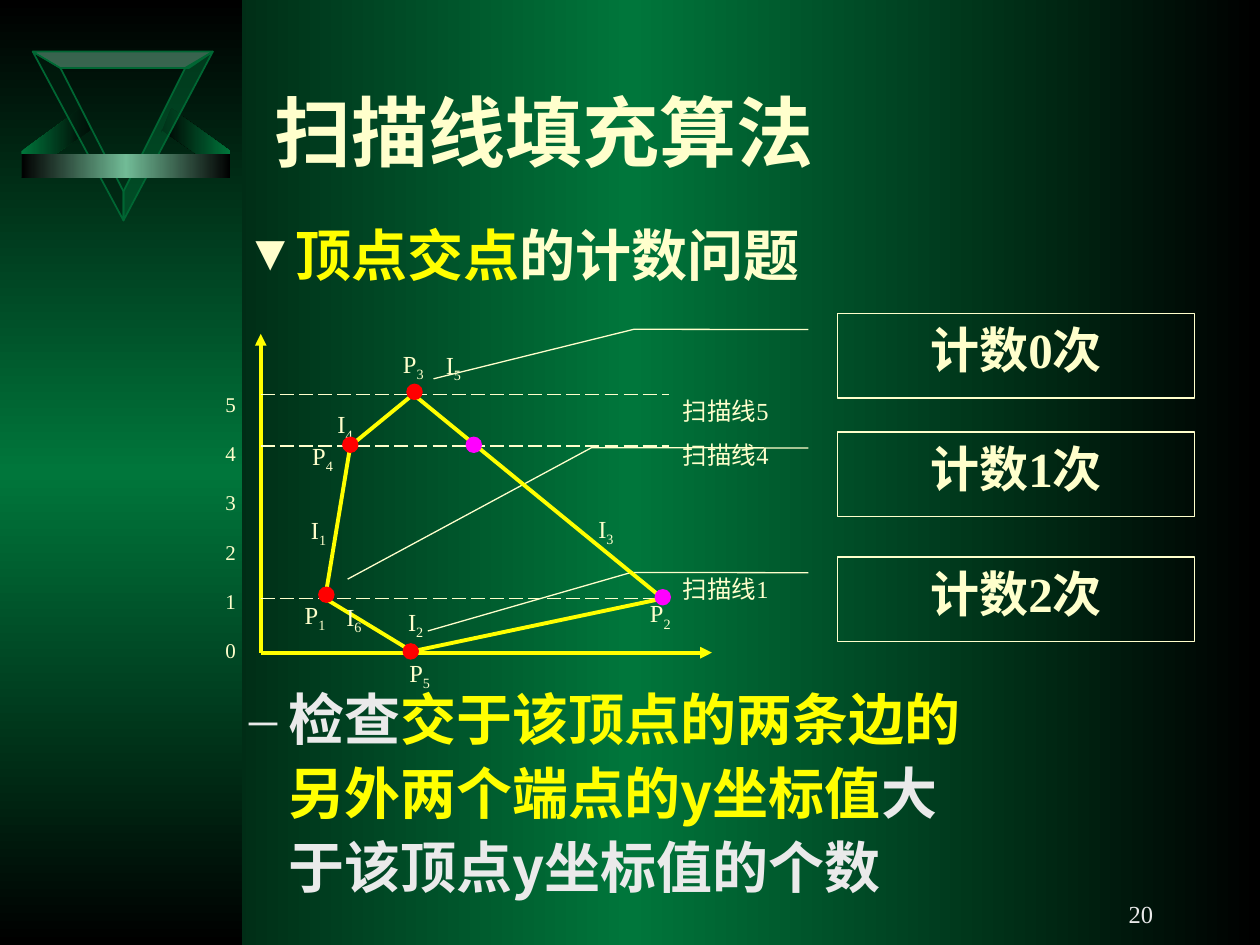
from copy import deepcopy

from lxml import etree
from pptx import Presentation
from pptx.dml.color import RGBColor
from pptx.enum.dml import MSO_LINE
from pptx.enum.shapes import MSO_CONNECTOR, MSO_SHAPE
from pptx.enum.text import MSO_ANCHOR, PP_ALIGN
from pptx.oxml.ns import qn
from pptx.util import Inches, Pt

rgb = RGBColor.from_string
SERIF, SANS = "Times New Roman", "Noto Sans CJK SC"
BLACK, GREEN, MINT, EDGE = "000000", "00763B", "71BB96", "006633"
CREAM, YELLOW, PALE = "FFFFCC", "FFFF00", "EAEAEA"
RED, MAGENTA = "FF0000", "FF00FF"


def fill_gradient(owner, fill, colours, angle=0):
    """Spread the colours evenly over a linear gradient."""
    fill.gradient()
    fill.gradient_angle = angle
    stops = next(owner.element.iter(qn("a:gsLst")))
    while len(stops) < len(colours):
        stops.append(deepcopy(stops[-1]))
    for i, (stop, colour) in enumerate(zip(fill.gradient_stops, colours)):
        stop.color.rgb = rgb(colour)
        stop.position = i / (len(colours) - 1)


def write(frame, paragraphs, size, align=PP_ALIGN.LEFT, bold=False, font=SERIF, spacing=None):
    """Fill the frame; each paragraph is a list of (text, colour) runs."""
    frame.word_wrap = True
    for i, runs in enumerate(paragraphs):
        paragraph = frame.add_paragraph() if i else frame.paragraphs[0]
        paragraph.alignment = align
        paragraph.line_spacing = spacing
        for text, colour in runs:
            run = paragraph.add_run()
            run.text = text
            run.font.size, run.font.bold, run.font.name = Pt(size), bold, font
            run.font.color.rgb = rgb(colour)
            etree.SubElement(run.font._element, qn("a:ea"), typeface=SANS)


prs = Presentation()
prs.slide_width, prs.slide_height = Inches(10), Inches(7.5)
slide = prs.slides.add_slide(prs.slide_layouts[5])
shapes = slide.shapes
fill_gradient(slide, slide.background.fill, [BLACK, GREEN, BLACK])

# Side band and triangle ornament
band = shapes.add_shape(MSO_SHAPE.RECTANGLE, 0, 0, Inches(1.92), Inches(7.5))
fill_gradient(band, band.fill, [BLACK, GREEN, BLACK], 90)

wing = [(1.83, 1.2), (1.83, 1.41), (1.28, 1.03), (1.28, 1.05), (1.36, 0.86)]
mirrored_wing = [(2 - x, y) for x, y in wing]
facets = [
    (wing, [BLACK, GREEN]),
    (mirrored_wing, [GREEN, BLACK]),
    ([(0.98, 1.75), (0.98, 1.52), (0.48, 0.54), (0.26, 0.41)], ["002010"]),
    ([(0.26, 0.41), (0.48, 0.54), (1.5, 0.54), (1.69, 0.41)], [MINT]),
    ([(0.98, 1.75), (0.98, 1.52), (1.47, 0.54), (1.69, 0.41)], [EDGE]),
]
ornament = [band]
for points, colours in facets:
    corners = [(Inches(x), Inches(y)) for x, y in points]
    builder = shapes.build_freeform(*corners[0], scale=1.0)
    builder.add_line_segments(corners[1:], close=True)
    facet = builder.convert_to_shape()
    if len(colours) > 1:
        fill_gradient(facet, facet.fill, colours)
        ornament.append(facet)
    else:
        facet.shadow.inherit = False
        facet.fill.solid()
        facet.fill.fore_color.rgb = rgb(colours[0])
        solid = facet.element.spPr.find(qn("a:solidFill"))
        etree.SubElement(solid[0], qn("a:alpha"), val="50000")
        facet.line.color.rgb = rgb(EDGE)
        facet.line.width = Pt(1)

bar = shapes.add_shape(MSO_SHAPE.RECTANGLE, Inches(0.17), Inches(1.22), Inches(1.66), Inches(0.19))
fill_gradient(bar, bar.fill, [BLACK, MINT, BLACK])
for part in ornament + [bar]:
    part.shadow.inherit = False
    part.line.fill.background()

# Page number, title and heading
page_number = shapes.add_textbox(Inches(7.17), Inches(7), Inches(2.08), Inches(0.5)).text_frame
write(page_number, [[("20", PALE)]], 14, PP_ALIGN.RIGHT)
page_number.vertical_anchor = MSO_ANCHOR.MIDDLE

title = shapes.title
title.left, title.top, title.width, title.height = Inches(2.08), Inches(0.25), Inches(7.75), Inches(1.58)
title.text_frame.vertical_anchor = MSO_ANCHOR.MIDDLE
write(title.text_frame, [[("扫描线填充算法", CREAM)]], 44, bold=True)

heading = shapes.add_textbox(Inches(1.85), Inches(1.7), Inches(4.83), Inches(0.8)).text_frame
write(heading, [[("顶点交点", YELLOW), ("的计数问题", CREAM)]], 32, bold=True)

# Callouts with the count for each kind of vertex
callouts = [
    (2.49, "计数0次", (-0.572, 0.771, -1.134)),
    (3.43, "计数1次", (-0.691, 1.742, -1.375)),
    (4.42, "计数2次", (-0.58, 0.878, -1.15)),
]
for top, text, (bend_x, end_y, end_x) in callouts:
    callout = shapes.add_shape(MSO_SHAPE.LINE_CALLOUT_2, Inches(6.65), Inches(top), Inches(2.83), Inches(0.67))
    for i, value in enumerate((0.188, -0.083, 0.185, bend_x, end_y, end_x)):
        callout.adjustments[i] = value
    callout.shadow.inherit = False
    callout.fill.background()
    callout.line.color.rgb = rgb(CREAM)
    callout.line.width = Pt(0.75)
    callout.text_frame.vertical_anchor = MSO_ANCHOR.TOP
    write(callout.text_frame, [[(text, CREAM)]], 28, PP_ALIGN.CENTER, bold=True)

# Axes, scan lines and polygon edges
origin = (2.07, 5.18)
p1, p2, p3, p4, p5 = (2.58, 4.75), (5.26, 4.75), (3.28, 3.13), (2.78, 3.54), (3.27, 5.17)
segments = [(origin, end, "axis") for end in ((2.07, 2.65), (5.65, 5.18))]
segments += [((2.07, y), (5.31, y), "scan") for y in (4.75, 3.54, 3.13)]
segments += [(a, b, "edge") for a, b in ((p4, p1), (p3, p4), (p1, p5), (p3, p2), (p2, p5))]
for start, end, role in segments:
    segment = shapes.add_connector(MSO_CONNECTOR.STRAIGHT, *(Inches(v) for v in start + end))
    segment.line.color.rgb = rgb(CREAM if role == "scan" else YELLOW)
    segment.line.width = Pt(1 if role == "scan" else 2.25)
    if role == "scan":
        segment.line.dash_style = MSO_LINE.LONG_DASH
    if role == "axis":
        etree.SubElement(segment.element.spPr.find(qn("a:ln")), qn("a:tailEnd"), type="triangle")
    etree.SubElement(segment.element.spPr, qn("a:effectLst"))

# Axis values and scan line names
axis_values = shapes.add_textbox(Inches(1.69), Inches(2.87), Inches(0.49), Inches(2.45)).text_frame
write(axis_values, [[(digit, CREAM)] for digit in "543210"], 12, PP_ALIGN.JUSTIFY, spacing=1.95)

scan_names = shapes.add_textbox(Inches(5.32), Inches(2.97), Inches(0.95), Inches(2.08)).text_frame
write(scan_names, [[("扫描线" + digit, CREAM)] for digit in "541"], 14, PP_ALIGN.JUSTIFY, spacing=1.52)
scan_names.paragraphs[2].space_before = Pt(51)

# Vertex and intersection labels with subscripts
labels = [
    ("P1", 2.32, 4.71), ("P2", 5.06, 4.7), ("P3", 3.1, 2.72), ("P4", 2.38, 3.45),
    ("I1", 2.37, 4.04), ("I2", 3.14, 4.77), ("I3", 4.65, 4.03), ("I4", 2.58, 3.2),
    ("P5", 3.15, 5.17), ("I5", 3.44, 2.73), ("I6", 2.65, 4.73),
]
for (letter, index), left, top in labels:
    label = shapes.add_textbox(Inches(left), Inches(top), Inches(0.5), Inches(0.45)).text_frame
    write(label, [[(letter, CREAM), (index, CREAM)]], 14, PP_ALIGN.JUSTIFY)
    label.paragraphs[0].runs[1].font._element.set("baseline", "-25000")

# Vertex and intersection dots
dots = [
    (3.23, 3.05, RED), (2.72, 3.47, RED), (3.2, 5.11, RED), (2.53, 4.66, RED),
    (5.2, 4.68, MAGENTA), (3.7, 3.47, MAGENTA),
]
for left, top, colour in dots:
    dot = shapes.add_shape(MSO_SHAPE.FLOWCHART_CONNECTOR, Inches(left), Inches(top), Inches(0.12), Inches(0.12))
    dot.shadow.inherit = False
    dot.fill.solid()
    dot.fill.fore_color.rgb = dot.line.color.rgb = rgb(colour)
    dot.line.width = Pt(0.75)

# Counting rule
rule = shapes.add_textbox(Inches(1.38), Inches(5.33), Inches(6.46), Inches(1.89)).text_frame
rule_runs = [
    ("检查", PALE),
    ("交于该顶点的两条边的另外两个端点的y坐标值", YELLOW),
    ("大于该顶点y坐标值的个数", PALE),
]
write(rule, [rule_runs], 32, bold=True, font=SANS, spacing=1.1)
rule.paragraphs[0].level = 1

bullets = [(heading, "▼", CREAM, 90, 0.38, 0.38), (rule, "–", PALE, 100, 0.81, 0.31)]
for frame, mark, colour, percent, margin, hanging in bullets:
    paragraph = frame.paragraphs[0]
    paragraph.space_before = Pt(8)
    properties = paragraph._p.get_or_add_pPr()
    properties.set("marL", str(Inches(margin)))
    properties.set("indent", str(-Inches(hanging)))
    etree.SubElement(etree.SubElement(properties, qn("a:buClr")), qn("a:srgbClr"), val=colour)
    etree.SubElement(properties, qn("a:buSzPct"), val=str(percent * 1000))
    etree.SubElement(properties, qn("a:buFont"), typeface=SERIF)
    etree.SubElement(properties, qn("a:buChar"), char=mark)

prs.save("out.pptx")
